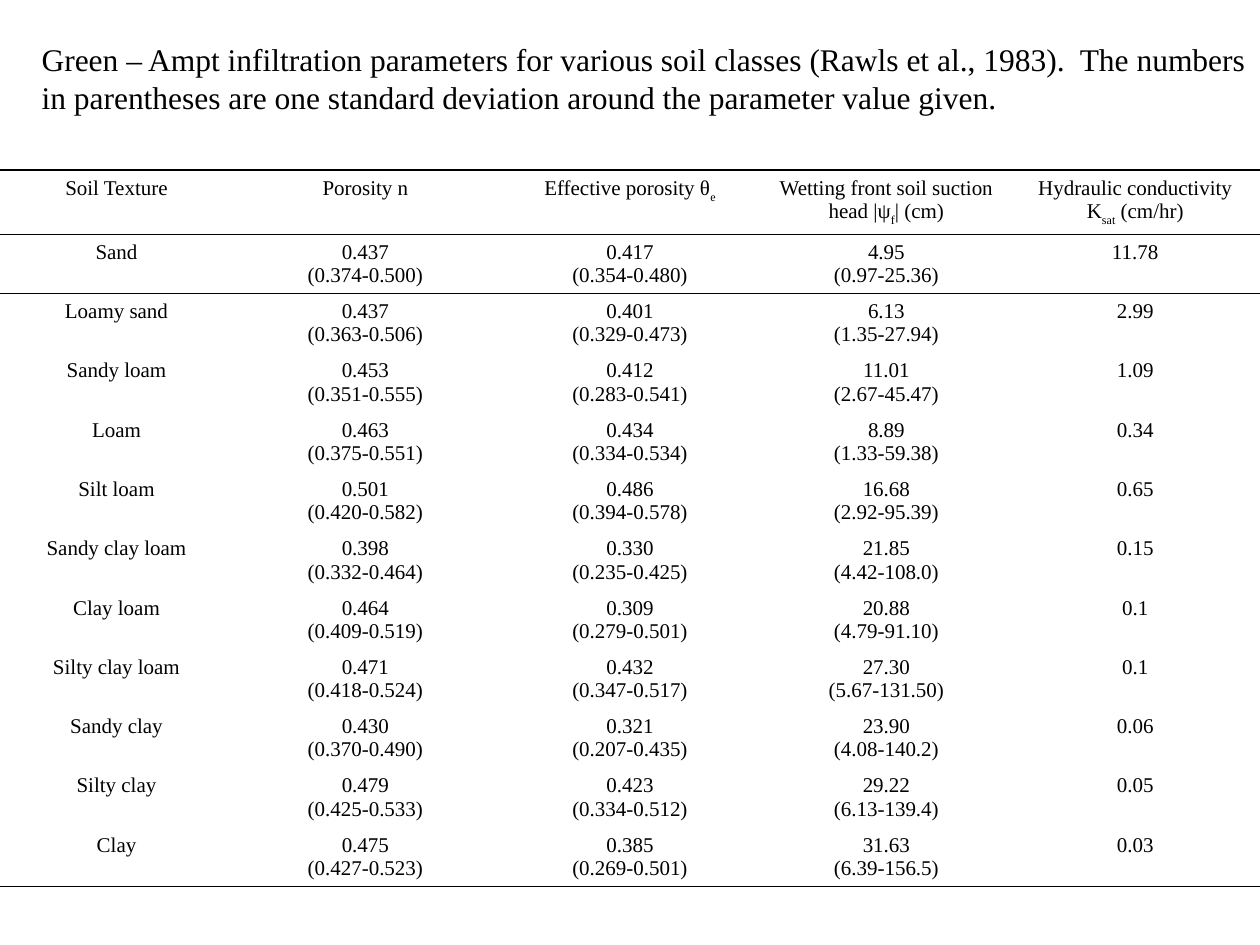
from lxml import etree
from pptx import Presentation
from pptx import util as u
from pptx.dml.color import RGBColor
from pptx.enum import text
from pptx.oxml import ns

BLACK = RGBColor(0x00, 0x00, 0x00)
FONT = "Times New Roman"
NO_STYLE = "{2D5ABB26-0587-4C30-8999-92F81FD0307C}"
SUBSCRIPT_MARK = "_"

TITLE = ("Green – Ampt infiltration parameters for various soil classes "
         "(Rawls et al., 1983).  The numbers in parentheses are one standard "
         "deviation around the parameter value given.")
HEADERS = (
    "Soil Texture",
    "Porosity n",
    "Effective porosity θ_e_",
    "Wetting front soil suction head |ψ_f_| (cm)",
    "Hydraulic conductivity K_sat_ (cm/hr)",
)
SOILS = (
    ("Sand", "0.437\n(0.374-0.500)", "0.417\n(0.354-0.480)", "4.95\n(0.97-25.36)", "11.78"),
    ("Loamy sand", "0.437\n(0.363-0.506)", "0.401\n(0.329-0.473)", "6.13\n(1.35-27.94)", "2.99"),
    ("Sandy loam", "0.453\n(0.351-0.555)", "0.412\n(0.283-0.541)", "11.01\n(2.67-45.47)", "1.09"),
    ("Loam", "0.463\n(0.375-0.551)", "0.434\n(0.334-0.534)", "8.89\n(1.33-59.38)", "0.34"),
    ("Silt loam", "0.501\n(0.420-0.582)", "0.486\n(0.394-0.578)", "16.68\n(2.92-95.39)", "0.65"),
    ("Sandy clay loam", "0.398\n(0.332-0.464)", "0.330\n(0.235-0.425)", "21.85\n(4.42-108.0)", "0.15"),
    ("Clay loam", "0.464\n(0.409-0.519)", "0.309\n(0.279-0.501)", "20.88\n(4.79-91.10)", "0.1"),
    ("Silty clay loam", "0.471\n(0.418-0.524)", "0.432\n(0.347-0.517)", "27.30\n(5.67-131.50)", "0.1"),
    ("Sandy clay", "0.430\n(0.370-0.490)", "0.321\n(0.207-0.435)", "23.90\n(4.08-140.2)", "0.06"),
    ("Silty clay", "0.479\n(0.425-0.533)", "0.423\n(0.334-0.512)", "29.22\n(6.13-139.4)", "0.05"),
    ("Clay", "0.475\n(0.427-0.523)", "0.385\n(0.269-0.501)", "31.63\n(6.39-156.5)", "0.03"),
)
COLUMN_WIDTHS = (1.85, 2.1, 2.1, 1.97, 1.98)
HEADER_HEIGHT, ROW_HEIGHT = 0.51, 0.47
TABLE_TOP = 1.35


def format_run(run, size):
    run.font.name = FONT
    run.font.size = u.Pt(size)
    run.font.color.rgb = BLACK


def add_title(slide):
    title = slide.shapes.title
    title.left, title.top = u.Inches(0.23), u.Inches(0.27)
    title.width, title.height = u.Inches(9.77), u.Inches(0.7)
    frame = title.text_frame
    frame.text = TITLE
    frame.word_wrap = True
    frame.auto_size = text.MSO_AUTO_SIZE.NONE
    frame.vertical_anchor = text.MSO_ANCHOR.MIDDLE
    frame.paragraphs[0].alignment = text.PP_ALIGN.LEFT
    format_run(frame.paragraphs[0].runs[0], 18)


def fill_cell(cell, content):
    cell.fill.background()
    for index, line in enumerate(content.split("\n")):
        frame = cell.text_frame
        paragraph = frame.add_paragraph() if index else frame.paragraphs[0]
        paragraph.alignment = text.PP_ALIGN.CENTER
        for part, words in enumerate(line.split(SUBSCRIPT_MARK)):
            if words:
                run = paragraph.add_run()
                run.text = words
                format_run(run, 12)
                if part % 2:
                    run.font._element.set("baseline", "-30000")


def add_borders(cell, edges):
    properties = cell._tc.get_or_add_tcPr()
    for index, edge in enumerate(edges):
        line = etree.Element(ns.qn(f"a:ln{edge}"), w=str(u.Pt(1)))
        fill = etree.SubElement(line, ns.qn("a:solidFill"))
        etree.SubElement(fill, ns.qn("a:srgbClr"), val=str(BLACK))
        properties.insert(index, line)


def add_soil_table(slide):
    rows = (HEADERS,) + SOILS
    last = len(rows) - 1
    height = HEADER_HEIGHT + ROW_HEIGHT * len(SOILS)
    table = slide.shapes.add_table(
        len(rows), len(HEADERS), 0, u.Inches(TABLE_TOP),
        u.Inches(sum(COLUMN_WIDTHS)), u.Inches(height)).table
    table.first_row = table.horz_banding = False
    table._tbl.tblPr.find(ns.qn("a:tableStyleId")).text = NO_STYLE
    for column, width in zip(table.columns, COLUMN_WIDTHS):
        column.width = u.Inches(width)

    borders = {0: "TB", 1: "T", last: "B"}
    for row_index, row in enumerate(rows):
        table.rows[row_index].height = u.Inches(ROW_HEIGHT if row_index else HEADER_HEIGHT)
        for column_index, content in enumerate(row):
            cell = table.cell(row_index, column_index)
            fill_cell(cell, content)
            add_borders(cell, borders.get(row_index, ""))


def main():
    presentation = Presentation()
    presentation.slide_width, presentation.slide_height = u.Inches(10), u.Inches(7.5)
    slide = presentation.slides.add_slide(presentation.slide_layouts[5])
    add_soil_table(slide)
    add_title(slide)
    presentation.save("out.pptx")


if __name__ == "__main__":
    main()
